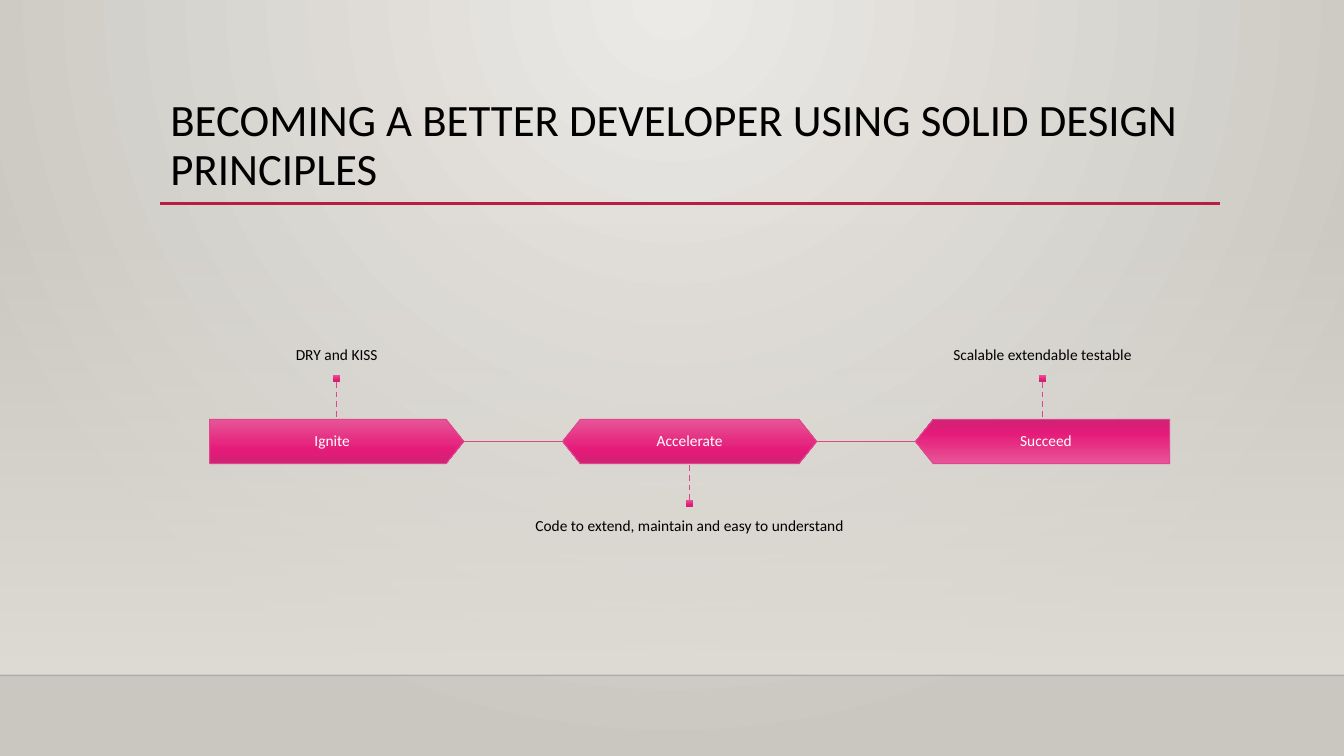
from dataclasses import dataclass

from lxml import etree
from pptx import Presentation
from pptx import util as u
from pptx.dml.color import RGBColor
from pptx.enum import dml, shapes, text
from pptx.oxml import ns


@dataclass(frozen=True)
class Theme:
    font: str = "Calibri"
    title_size: float = 32
    body_size: float = 11
    ink: str = "000000"
    block_text: str = "FFFFFF"
    accent: str = "DE478E"
    rule: str = "B71E42"
    floor: str = "000001"
    # Gradient stops: position, colour, opacity (all percentages)
    backdrop: tuple = ((0, "ECEAE7", 100), (100, "CAC7C1", 100))
    wall: tuple = ((0, "DFDBD5", 0), (100, "DFDBD5", 100))
    block: tuple = ((0, "E75597", 100), (69, "E51A79", 100), (100, "CF2374", 100))


def add_alpha(colour, percent):
    etree.SubElement(colour, ns.qn("a:alpha"), val=str(percent * 1000))


class Slide:
    def __init__(self, deck, theme):
        self.theme = theme
        self.page = deck.slides.add_slide(deck.slide_layouts[5])

    def gradient(self, fill, owner, stops, focus=None):
        """Shade downwards, or in circles around the focus rectangle."""
        fill.gradient()
        grad = owner.find(".//" + ns.qn("a:gradFill"))
        for child in list(grad):
            grad.remove(child)
        stop_list = etree.SubElement(grad, ns.qn("a:gsLst"))
        for position, colour, opacity in stops:
            stop = etree.SubElement(stop_list, ns.qn("a:gs"), pos=str(position * 1000))
            value = etree.SubElement(stop, ns.qn("a:srgbClr"), val=colour)
            if opacity < 100:
                add_alpha(value, opacity)
        if focus:
            circle = etree.SubElement(grad, ns.qn("a:path"), path="circle")
            sides = {side: str(share * 1000) for side, share in focus.items()}
            etree.SubElement(circle, ns.qn("a:fillToRect"), **sides)
        else:
            etree.SubElement(grad, ns.qn("a:lin"), ang="5400000", scaled="0")

    def backdrop(self):
        background = self.page.background
        focus = {"l": 43, "t": 0, "r": 43, "b": 100}
        self.gradient(background.fill, self.page.element, self.theme.backdrop, focus)

    def shape(self, kind, left, top, width, height, stops, outline=None, turn=0):
        shape = self.page.shapes.add_shape(
            kind, *map(u.Inches, (left, top, width, height)))
        shape.shadow.inherit = False
        self.gradient(shape.fill, shape.element, stops)
        if outline:
            shape.line.color.rgb = RGBColor.from_string(outline)
            shape.line.width = u.Pt(0.75)
        else:
            shape.line.fill.background()
        shape.rotation = turn
        return shape

    def line(self, start, end, colour, width, dash=None, opacity=100):
        line = self.page.shapes.add_connector(
            shapes.MSO_CONNECTOR.STRAIGHT, *map(u.Inches, (*start, *end)))
        line.line.color.rgb = RGBColor.from_string(colour)
        line.line.width = u.Pt(width)
        if dash:
            line.line.dash_style = dash
        properties = line.element.spPr
        if opacity < 100:
            add_alpha(properties.find(".//" + ns.qn("a:srgbClr")), opacity)
        etree.SubElement(properties, ns.qn("a:effectLst"))
        return line

    def fill_text(self, frame, words, size, colour, align, anchor, insets):
        left, top = map(u.Inches, insets)
        frame_format = {
            "word_wrap": True, "auto_size": text.MSO_AUTO_SIZE.NONE,
            "vertical_anchor": anchor, "margin_left": left, "margin_right": left,
            "margin_top": top, "margin_bottom": top,
        }
        for name, value in frame_format.items():
            setattr(frame, name, value)
        para = frame.paragraphs[0]
        para.alignment = align
        para.line_spacing = 0.9
        span = para.add_run()
        span.text = words
        for name, value in {"name": self.theme.font, "size": u.Pt(size)}.items():
            setattr(span.font, name, value)
        span.font.color.rgb = RGBColor.from_string(colour)

    def title(self, words, left, top, width, height):
        title = self.page.shapes.title
        place = {"left": left, "top": top, "width": width, "height": height}
        for name, value in place.items():
            setattr(title, name, u.Inches(value))
        self.fill_text(title.text_frame, words, self.theme.title_size, self.theme.ink,
                       text.PP_ALIGN.LEFT, text.MSO_ANCHOR.MIDDLE, (0.1, 0.05))

    def label(self, words, left, top, width, height, colour, anchor, insets):
        box = self.page.shapes.add_textbox(
            *map(u.Inches, (left, top, width, height)))
        self.fill_text(box.text_frame, words, self.theme.body_size, colour,
                       text.PP_ALIGN.CENTER, anchor, insets)


def add_stage(slide, stage, left):
    """Draw one block with its name, pin and caption."""
    name, caption, kind, turn, text_offset, text_width, above = stage
    theme = slide.theme
    center = left + BLOCK_WIDTH / 2

    # Block and name
    block = slide.shape(kind, left, BLOCK_TOP, BLOCK_WIDTH, BLOCK_HEIGHT,
                        theme.block, theme.accent, turn)
    block.adjustments[0] = 0.4
    slide.label(name, left + text_offset, BLOCK_TOP, text_width, BLOCK_HEIGHT,
                theme.block_text, text.MSO_ANCHOR.MIDDLE, (0.09, 0.09))

    # Caption, pin head and dashed stem
    if above:
        edge, pin_top, caption_top = BLOCK_TOP, 3.72, 2.56
        anchor, pin_side = text.MSO_ANCHOR.BOTTOM, 2
    else:
        edge, pin_top, caption_top = BLOCK_TOP + BLOCK_HEIGHT, 4.96, 5.03
        anchor, pin_side = text.MSO_ANCHOR.TOP, 0
    slide.label(caption, center - STEP / 2, caption_top, STEP, 1.16,
                theme.ink, anchor, (0, 0.11))
    pin = slide.shape(shapes.MSO_SHAPE.RECTANGLE, center - PIN / 2, pin_top,
                      PIN, PIN, theme.block)
    stem = slide.line((center, pin_top), (center, edge), theme.accent, 1,
                      dml.MSO_LINE.DASH)
    stem.begin_connect(pin, pin_side)


# Timeline grid, in inches
FIRST_LEFT, STEP = 2.08, 3.5
BLOCK_TOP, BLOCK_WIDTH, BLOCK_HEIGHT = 4.16, 2.52, 0.44
PIN = 0.07

# Name, caption, shape, rotation, name offset, name width, caption above
STAGES = [
    ("Ignite", "DRY and KISS", shapes.MSO_SHAPE.PENTAGON, 0, 0, 2.43, True),
    ("Accelerate", "Code to extend, maintain and easy to understand",
     shapes.MSO_SHAPE.HEXAGON, 0, 0.27, 1.98, False),
    ("Succeed", "Scalable extendable testable",
     shapes.MSO_SHAPE.PENTAGON, 180, 0.08, 2.43, True),
]


def main():
    deck = Presentation()
    deck.slide_width, deck.slide_height = u.Inches(13.33), u.Inches(7.5)
    theme = Theme()
    slide = Slide(deck, theme)

    # Wall, floor edge and title
    slide.backdrop()
    slide.shape(shapes.MSO_SHAPE.RECTANGLE, 0, 2.21, 13.33, 4.49, theme.wall)
    slide.line((0, 6.7), (13.33, 6.7), theme.floor, 1, opacity=20)
    slide.line((1.59, 2.02), (12.1, 2.02), theme.rule, 2.5)
    slide.title("BECOMING A BETTER DEVELOPER USING SOLID DESIGN PRINCIPLES",
                1.59, 0.88, 10.5, 1.15)

    # Timeline
    middle = BLOCK_TOP + BLOCK_HEIGHT / 2
    for index, stage in enumerate(STAGES):
        left = FIRST_LEFT + index * STEP
        add_stage(slide, stage, left)
        if index:
            slide.line((left - STEP + BLOCK_WIDTH, middle), (left, middle),
                       theme.accent, 0.75)

    deck.save("out.pptx")


if __name__ == "__main__":
    main()
